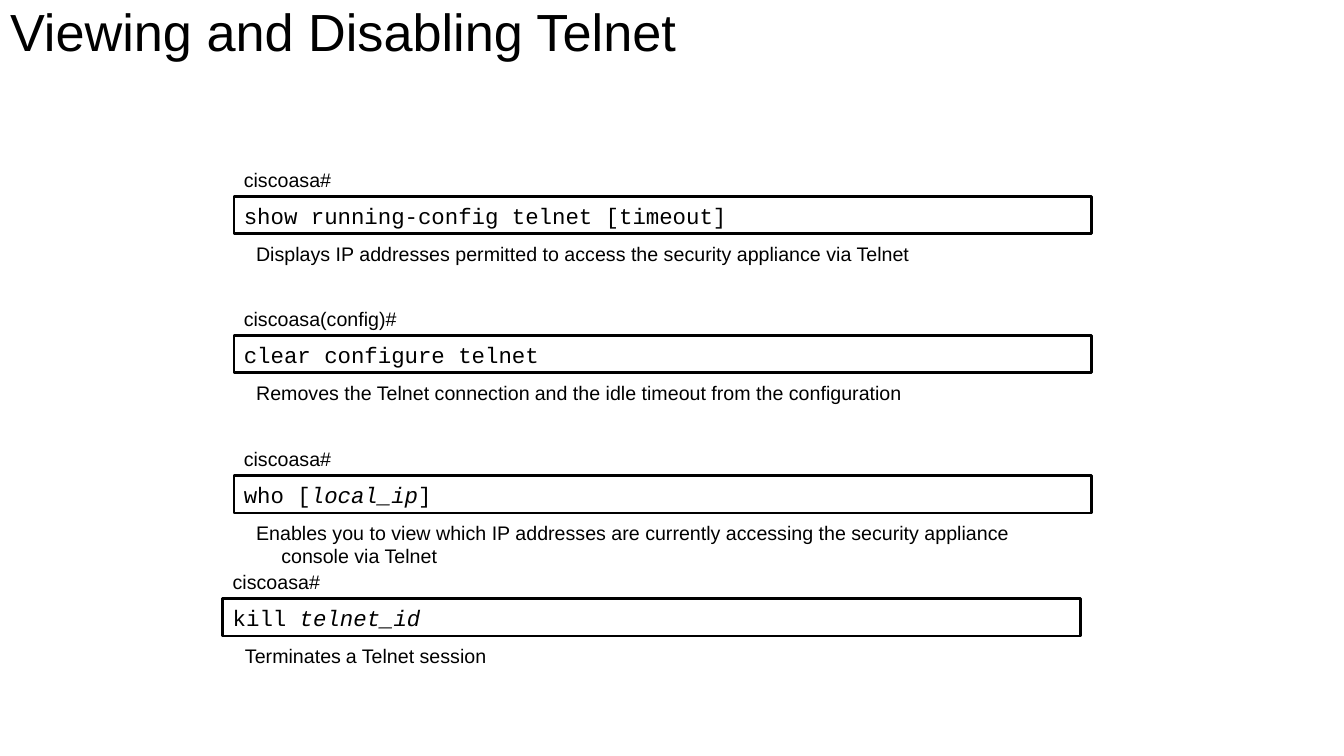
from dataclasses import dataclass

from pptx import Presentation
from pptx import util as u
from pptx.dml import color
from pptx.enum import shapes, text


@dataclass(frozen=True)
class Theme:
    ink: color.RGBColor = color.RGBColor(0, 0, 0)
    paper: color.RGBColor = color.RGBColor(255, 255, 255)
    sans: str = "Arial"
    mono: str = "Courier New"
    head: float = 37.3
    code: float = 16
    note: float = 14
    gap: float = 12
    rule: float = 2


COLS, ROWS = 133.3, 75


def write(frame, words, font, size, ink, alt=None, line=None,
          inset=(0.1, 0.05), wrap=True, anchor=text.MSO_ANCHOR.MIDDLE):
    frame.auto_size = text.MSO_AUTO_SIZE.NONE
    frame.word_wrap = wrap
    frame.vertical_anchor = anchor
    frame.margin_left = frame.margin_right = u.Inches(inset[0])
    frame.margin_top = frame.margin_bottom = u.Inches(inset[1])
    para = frame.paragraphs[0]
    para.alignment = text.PP_ALIGN.LEFT
    para.line_spacing = line
    for spot, part in enumerate(words.split("|")):
        if not part:
            continue
        run = para.add_run()
        run.text = part
        look = {"name": font, "size": u.Pt(size)}
        if spot % 2:
            look.update(alt)
        for key, value in look.items():
            setattr(run.font, key, value)
        run.font.color.rgb = ink
    return para


class Deck:
    def __init__(self, theme):
        self.theme = theme
        self.file = Presentation()
        self.file.slide_width = u.Inches(13.33)
        self.file.slide_height = u.Inches(7.5)
        self.slide = self.file.slides.add_slide(self.file.slide_layouts[5])

    def grid(self, col, row, wide, high):
        across = self.file.slide_width / COLS
        down = self.file.slide_height / ROWS
        return [round(n) for n in
                (col * across, row * down, wide * across, high * down)]

    def title(self, words, *cell):
        t = self.theme
        shape = self.slide.shapes.title
        shape.left, shape.top, shape.width, shape.height = self.grid(*cell)
        write(shape.text_frame, words, t.sans, t.head, t.ink, line=0.9)

    def prompt(self, words, *cell):
        t = self.theme
        box = self.slide.shapes.add_textbox(*self.grid(*cell))
        write(box.text_frame, words, t.sans, t.note, t.ink, wrap=False)

    def command(self, words, *cell):
        t = self.theme
        box = self.slide.shapes.add_shape(
            shapes.MSO_SHAPE.RECTANGLE, *self.grid(*cell))
        box.shadow.inherit = False
        box.fill.solid()
        box.fill.fore_color.rgb = t.paper
        box.line.color.rgb = t.ink
        box.line.width = u.Pt(t.rule)
        write(box.text_frame, words, t.mono, t.code, t.ink,
              alt={"italic": True})

    def detail(self, words, *cell):
        t = self.theme
        box = self.slide.shapes.add_textbox(*self.grid(*cell))
        para = write(box.text_frame, words, t.sans, t.note, t.ink,
                     alt={"size": u.Pt(t.gap)}, line=0.95,
                     inset=(0.09, 0.05), anchor=text.MSO_ANCHOR.TOP)
        props = para._p.get_or_add_pPr()
        props.set("marL", str(u.Inches(0.38)))
        props.set("indent", str(u.Inches(-0.25)))

    def entry(self, col, row, prompt, span, command, detail, wide, high):
        self.prompt(prompt, col, row - 3.4, span, 3.4)
        self.command(command, col, row, 85.1, 3.7)
        self.detail(detail, col, row + 4.2, wide, high)


ENTRIES = [
    (23.2, 19.5, "ciscoasa#", 10.7, "show running-config telnet [timeout]",
     "Displays IP addresses permitted to access the security appliance "
     "via Telnet", 86, 3.1),
    (23.2, 33.3, "ciscoasa(config)#", 17.3, "clear configure telnet",
     "Removes the Telnet connection| |and the idle timeout from the "
     "configuration", 86.2, 3.1),
    (23.2, 47.2, "ciscoasa#", 10.7, "who [|local_ip|]",
     "Enables you to view which IP addresses are currently accessing the "
     "security appliance console via Telnet", 84.8, 5.4),
    (22.1, 59.4, "ciscoasa#", 10.7, "kill| telnet_id",
     "Terminates| |a Telnet session", 87.9, 3.1),
]


def main():
    deck = Deck(Theme())
    deck.title("Viewing and Disabling Telnet", 0, 0, 115, 6.8)
    for entry in ENTRIES:
        deck.entry(*entry)
    deck.file.save("out.pptx")


if __name__ == "__main__":
    main()
